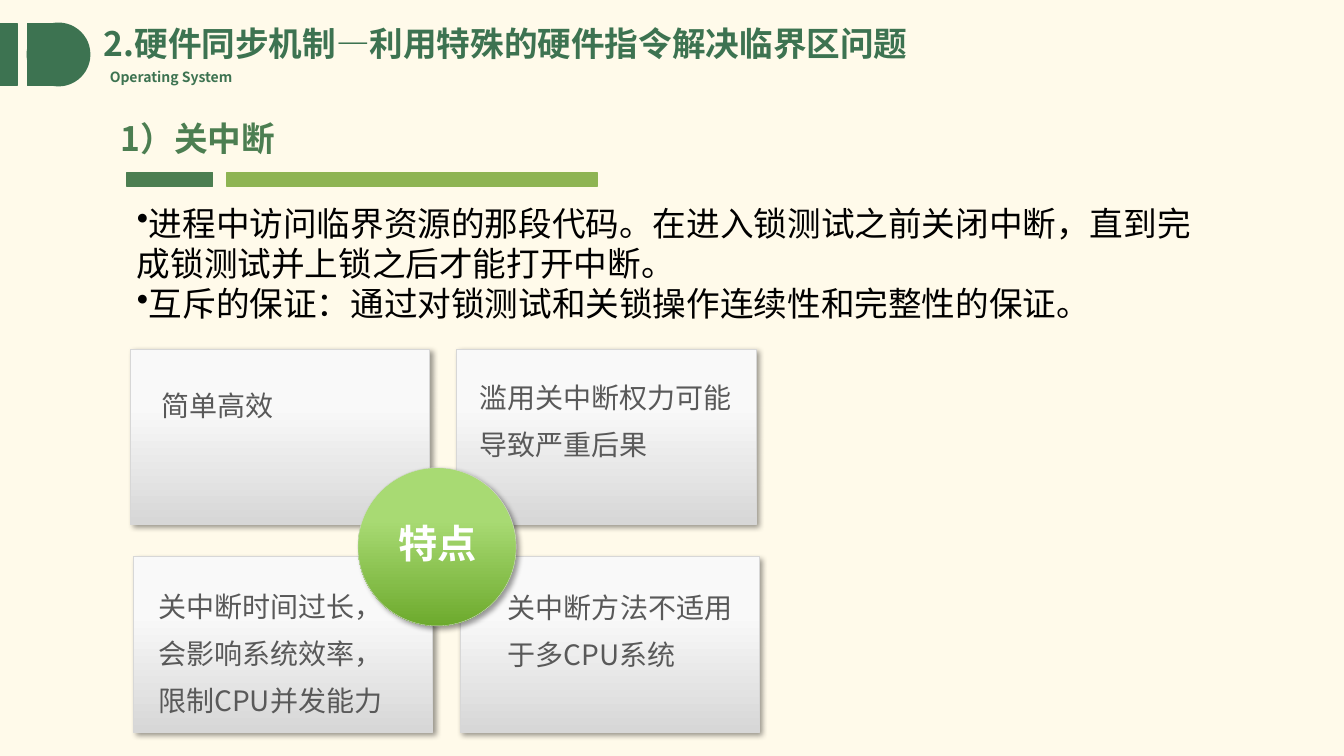
import pptx
import pptx.dml.color
import pptx.enum.shapes
import pptx.enum.text
import pptx.oxml
import pptx.oxml.ns
import pptx.util

COLORS = {
    "cream": "FFFAEA", "forest": "3D7351", "leaf": "4C7E51", "lime": "8EB453",
    "silver": "F9F9F9", "steel": "D7D7D7", "sprout": "A8DA73", "moss": "6DAA2D",
    "ink": "000000", "slate": "595959", "white": "FFFFFF",
}
SANS = "Noto Sans CJK SC"
RECT = pptx.enum.shapes.MSO_SHAPE.RECTANGLE
OVAL = pptx.enum.shapes.MSO_SHAPE.OVAL
CENTER = pptx.enum.text.PP_ALIGN.CENTER


def rgb(name):
    return pptx.dml.color.RGBColor.from_string(COLORS[name])


def add_xml(parent, tag, **attributes):
    child = parent.makeelement(pptx.oxml.ns.qn(tag), attributes)
    parent.append(child)
    return child


class SlideBuilder:
    """Draws on one slide; every frame is (left, top, width, height) in percent of the slide."""

    def __init__(self, deck):
        self.deck = deck
        self.page = deck.slides.add_slide(deck.slide_layouts[6])
        self.page.background.fill.solid()
        self.page.background.fill.fore_color.rgb = rgb("cream")

    def place(self, frame):
        sides = (self.deck.slide_width, self.deck.slide_height) * 2
        return [round(side * share / 100) for side, share in zip(sides, frame)]

    def outline(self, kind, frame, color, weight):
        shape = self.page.shapes.add_shape(kind, *self.place(frame))
        shape.shadow.inherit = False
        shape.line.color.rgb = rgb(color)
        shape.line.width = pptx.util.Pt(weight)
        return shape

    def flat(self, kind, frame, color):
        shape = self.outline(kind, frame, color, 1)
        shape.fill.solid()
        shape.fill.fore_color.rgb = rgb(color)

    def raised(self, kind, frame, top_color, bottom_color):
        """Adds a shape with a downward gradient and a soft shadow."""
        shape = self.outline(kind, frame, "steel", 0.25)
        shape.fill.gradient()
        shape.fill.gradient_angle = 270
        looks = ((0.33, top_color), (1, bottom_color))
        for stop, (position, color) in zip(shape.fill.gradient_stops, looks):
            stop.position = position
            stop.color.rgb = rgb(color)
        effects = shape._element.spPr.find(pptx.oxml.ns.qn("a:effectLst"))
        shadow = add_xml(effects, "a:outerShdw", blurRad=str(pptx.util.Pt(4)),
                         dist=str(pptx.util.Pt(3)), dir=str(45 * 60000),
                         algn="tl", rotWithShape="0")
        tone = add_xml(shadow, "a:srgbClr", val=COLORS["ink"])
        add_xml(tone, "a:alpha", val="40000")

    def text(self, frame, lines, size, color, font=SANS, bold=False, spacing=None,
             align=None, bullet=None, wrap=True, grow=True):
        box = self.page.shapes.add_textbox(*self.place(frame)).text_frame
        box.word_wrap = wrap
        sizing = pptx.enum.text.MSO_AUTO_SIZE
        box.auto_size = sizing.SHAPE_TO_FIT_TEXT if grow else sizing.NONE
        for number, line in enumerate(lines):
            para = box.add_paragraph() if number else box.paragraphs[0]
            if bullet:
                settings = para._p.get_or_add_pPr()
                settings.set("marL", "0")
                settings.set("indent", "0")
                add_xml(settings, "a:buChar", char=bullet)
            para.alignment = align
            para.line_spacing = spacing
            span = para.add_run()
            span.text = line
            span.font.size = pptx.util.Pt(size)
            span.font.bold = bold
            span.font.color.rgb = rgb(color)
            span.font.name = font
            add_xml(span._r.get_or_add_rPr(), "a:ea", typeface=SANS)


def draw_header(slide):
    slide.flat(RECT, (0, 3.07, 1.28, 8.27), "forest")
    slide.flat(RECT, (2.03, 3.07, 2.03, 8.27), "forest")
    slide.flat(OVAL, (2.03, 3.07, 4.65, 8.27), "forest")
    slide.text((7.43, 8.4, 11.03, 3.6), ["Operating System"], 10, "forest",
               bold=True, wrap=False)
    slide.text((6.98, 2.93, 73.73, 6.67), ["2.硬件同步机制—利用特殊的硬件指令解决临界区问题"],
               24, "forest", bold=True, spacing=0.9, grow=False)


def draw_topic(slide):
    slide.flat(RECT, (9.45, 22.8, 6.38, 1.87), "leaf")
    slide.flat(RECT, (16.88, 22.8, 27.53, 1.87), "lime")
    slide.text((8.25, 14.93, 36.15, 6.67), ["1）关中断"], 24, "leaf", bold=True)
    slide.text((9.45, 26.13, 80.33, 17.47), [
        "进程中访问临界资源的那段代码。在进入锁测试之前关闭中断，直到完成锁测试并上锁之后才能打开中断。",
        "互斥的保证：通过对锁测试和关锁操作连续性和完整性的保证。",
    ], 24, "ink", font="Calibri", bullet="•")


def draw_features(slide):
    features = [
        ("简单高效", (11.25, 48.93, 19.58, 7.6)),
        ("滥用关中断权力可能导致严重后果", (34.95, 47.87, 21.3, 13.2)),
        ("关中断时间过长，会影响系统效率，限制CPU并发能力", (11.03, 75.6, 19.43, 20.13)),
        ("关中断方法不适用于多CPU系统", (37.05, 75.73, 19.2, 13.2)),
    ]
    for number, (feature, text_frame) in enumerate(features):
        row, column = divmod(number, 2)
        card = (9.68 + 24.3 * column + 0.23 * row, 46.13 + 27.47 * row, 22.28, 23.2)
        slide.raised(RECT, card, "silver", "steel")
        slide.text(text_frame, [feature], 20, "slate", spacing=1.4)
    slide.raised(OVAL, (26.63, 61.87, 11.78, 20.93), "sprout", "moss")
    slide.text((26.7, 68, 11.78, 7.6), ["特点"], 28, "white", bold=True, align=CENTER)


def main():
    deck = pptx.Presentation()
    deck.slide_width = pptx.util.Inches(13.33)
    deck.slide_height = pptx.util.Inches(7.5)
    slide = SlideBuilder(deck)
    draw_header(slide)
    draw_topic(slide)
    draw_features(slide)
    deck.save("out.pptx")


if __name__ == "__main__":
    main()
